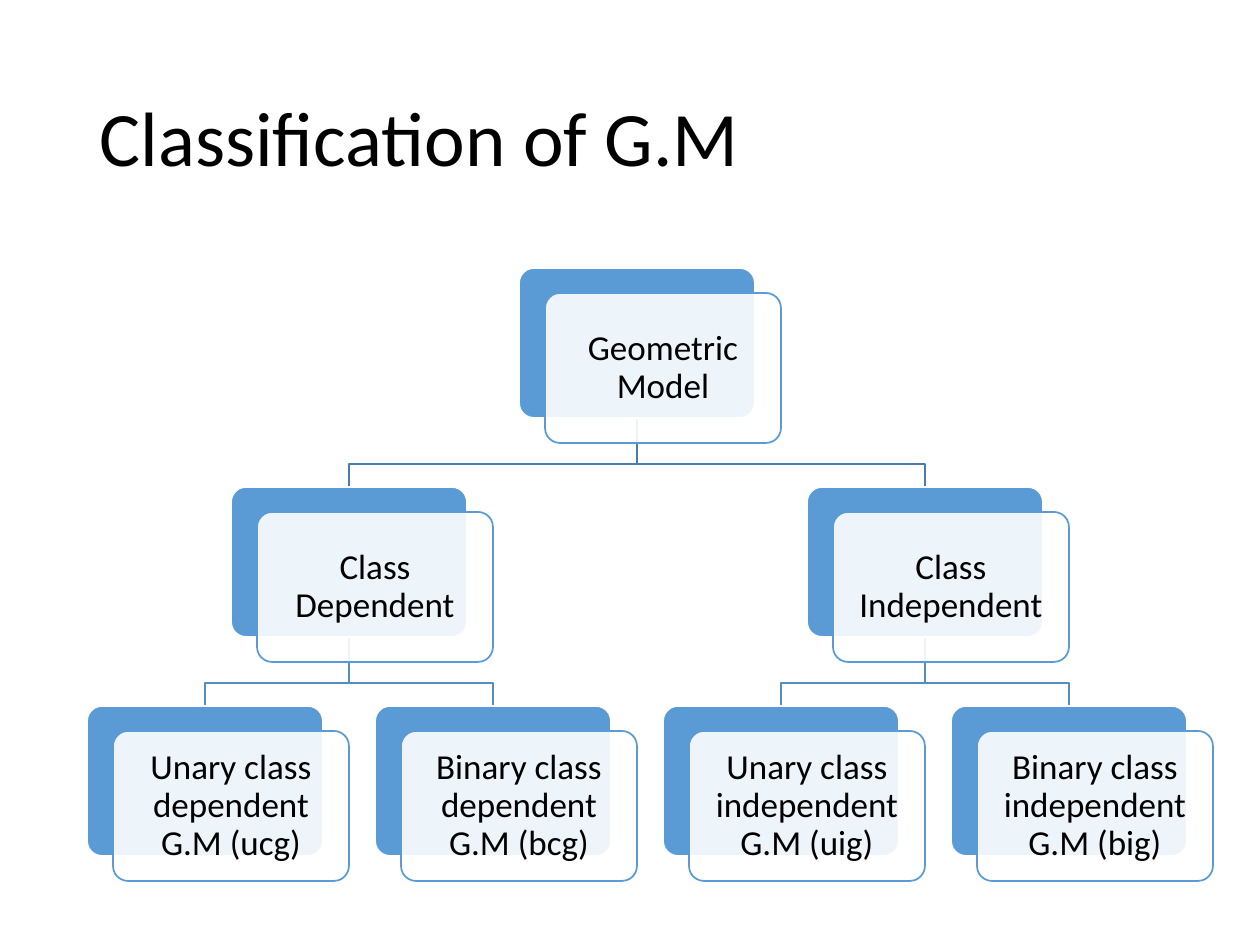
from lxml import etree
from pptx import Presentation
from pptx import util as u
from pptx.dml.color import RGBColor
from pptx.enum import shapes, text
from pptx.oxml.ns import qn

PX = 914400 / 126
COLORS = {"text": "000000", "white": "FFFFFF", "blue": "5B9BD5",
          "upper_link": "497CAB", "lower_link": "538DC1"}
BOX_W, BOX_H = 236, 150
CARD_DX, CARD_DY = 26, 25
COLUMN, LEVEL = 288, 219
ELBOW = 46
TREE = ("Geometric Model", [
    ("Class Dependent", [("Unary class dependent G.M (ucg)", []),
                         ("Binary class dependent G.M (bcg)", [])]),
    ("Class Independent", [("Unary class independent G.M (uig)", []),
                           ("Binary class independent G.M (big)", [])])])


def px(n):
    """Turn pixels into EMU."""
    return u.Emu(round(n * PX))


def rgb(name):
    """Look up a named colour."""
    return RGBColor.from_string(COLORS[name])


def set_all(obj, **values):
    """Set several attributes on one object."""
    for name, value in values.items():
        setattr(obj, name, value)


def write(tf, words, size, align, margins):
    """Write one middle-anchored paragraph into a text frame."""
    set_all(tf, word_wrap=True, auto_size=text.MSO_AUTO_SIZE.NONE,
            vertical_anchor=text.MSO_ANCHOR.MIDDLE, **margins)
    p = tf.paragraphs[0]
    set_all(p, alignment=align, line_spacing=0.9)
    r = p.add_run()
    r.text = words
    set_all(r.font, name="Calibri", size=u.Pt(size))
    r.font.color.rgb = rgb("text")


def add_title(s, words, box):
    """Place the title placeholder in the box."""
    sp = s.shapes.title
    set_all(sp, **dict(zip(("left", "top", "width", "height"), map(px, box))))
    write(sp.text_frame, words, 44, text.PP_ALIGN.LEFT, {})


def add_panel(s, x, y, fill, line):
    """Draw one rounded rectangle of a node."""
    sp = s.shapes.add_shape(shapes.MSO_SHAPE.ROUNDED_RECTANGLE,
                            px(x), px(y), px(BOX_W), px(BOX_H))
    sp.shadow.inherit = False
    sp.adjustments[0] = 0.1
    sp.fill.solid()
    sp.fill.fore_color.rgb = rgb(fill)
    sp.line.color.rgb = rgb(line)
    sp.line.width = u.Pt(1)
    return sp


def add_node(s, words, x, y):
    """Draw a blue panel with a translucent labelled card over it."""
    add_panel(s, x, y, "blue", "white")
    card = add_panel(s, x + CARD_DX, y + CARD_DY, "white", "blue")
    color = card.fill._xPr.find(qn("a:solidFill"))[0]
    etree.SubElement(color, qn("a:alpha"), val="90000")
    sides = ("left", "top", "right", "bottom")
    write(card.text_frame, words, 20, text.PP_ALIGN.CENTER,
          {f"margin_{side}": px(10) for side in sides})


def add_link(s, parent, child, color):
    """Draw an elbow line from a parent's bottom to a child's top."""
    x1, y1 = parent[0] + BOX_W / 2, parent[1] + BOX_H
    x2, y2 = child[0] + BOX_W / 2, child[1]
    points = [(x1, y1 + ELBOW), (x2, y1 + ELBOW), (x2, y2)]
    path = s.shapes.build_freeform(px(x1), px(y1))
    path.add_line_segments([(px(x), px(y)) for x, y in points], close=False)
    sp = path.convert_to_shape()
    sp.shadow.inherit = False
    sp.fill.background()
    sp.line.color.rgb = rgb(color)
    sp.line.width = u.Pt(1)


def place(node, x, y, depth=0):
    """Return a subtree's leaf count, nodes and links, parents centred."""
    words, children = node
    count, spots, links, tops = 0, [], [], []
    for child in children:
        n, below, lines = place(child, x + count * COLUMN, y + LEVEL, depth + 1)
        count += n
        tops.append(below[0][1:])
        spots += below
        links += lines
    count = max(count, 1)
    here = (x + (count - 1) * COLUMN / 2, y)
    color = "lower_link" if depth else "upper_link"
    links += [(here, top, color) for top in tops]
    return count, [(words, *here)] + spots, links


def add_tree(s, tree, x, y):
    """Draw the hierarchy with its links behind its nodes."""
    _, spots, links = place(tree, x, y)
    for link in links:
        add_link(s, *link)
    for spot in spots:
        add_node(s, *spot)


prs = Presentation()
set_all(prs, slide_width=px(1260), slide_height=px(945))
s = prs.slides.add_slide(prs.slide_layouts[5])
add_title(s, "Classification of G.M", (87, 50, 1086, 183))
add_tree(s, TREE, 87, 268)
prs.save("out.pptx")
